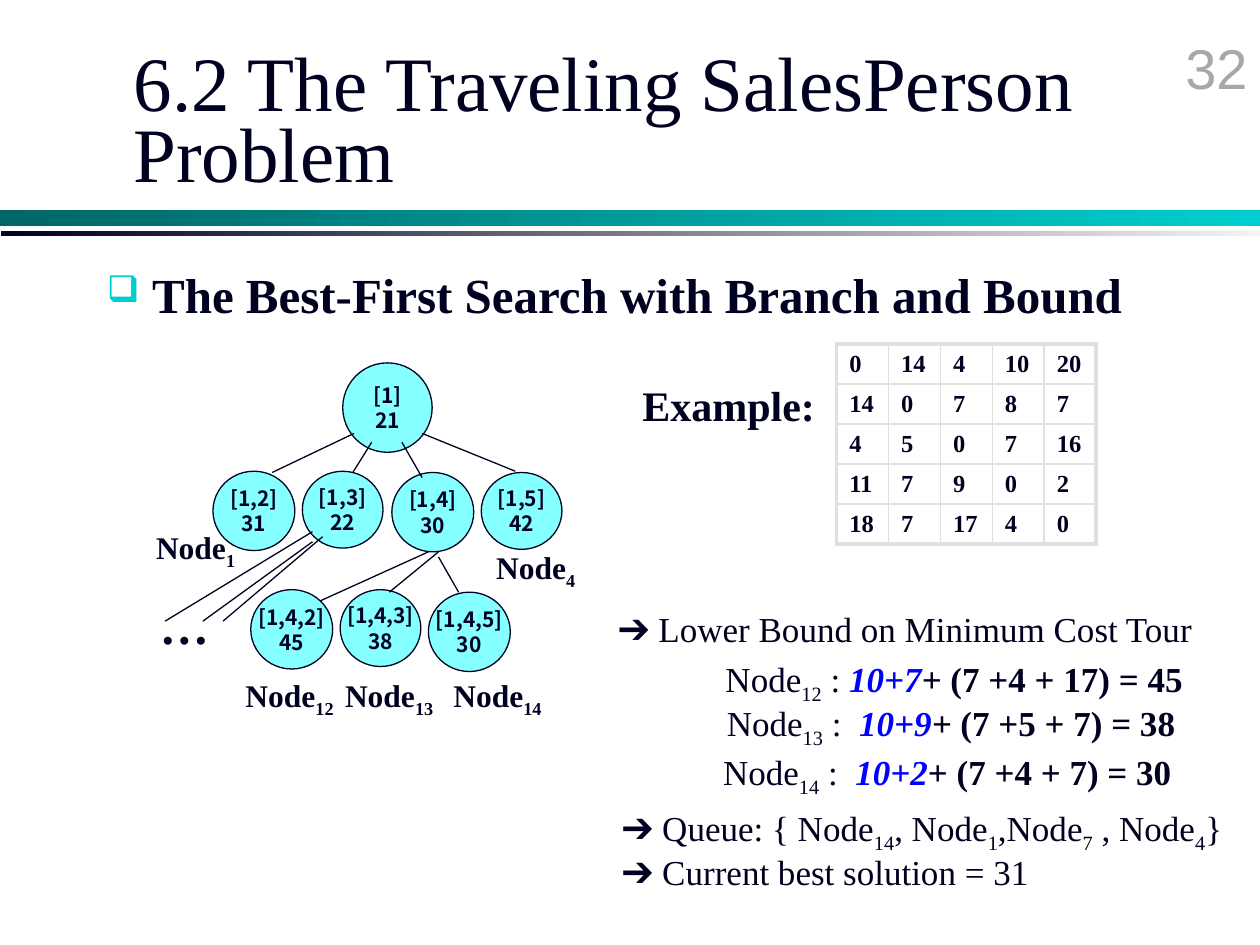
from lxml.etree import SubElement
from pptx import Presentation
from pptx.dml.color import RGBColor
from pptx.enum.shapes import MSO_CONNECTOR, MSO_SHAPE
from pptx.enum.text import MSO_ANCHOR, PP_ALIGN
from pptx.oxml.ns import qn
from pptx.util import Inches, Pt

SERIF, SANS, NODE_FONT = "Times New Roman", "Arial", "Noto Sans CJK KR"
INK, BLUE, CYAN, NODE_FILL = "000020", "0000FF", "00CECE", "85FFFF"
GREY, GRID = "A8A8A8", "E0E0E0"

TITLE = "6.2 The Traveling SalesPerson Problem"
HEADING = "The Best-First Search with Branch and Bound"
BARS = [  # left, top, width, height, gradient colours
    (0, 1.67, 10, 0.12, "006666", CYAN),
    (0.01, 1.83, 9.99, 0.04, INK, "F3F3F3"),
]
COSTS = [
    (0, 14, 4, 10, 20),
    (14, 0, 7, 8, 7),
    (4, 5, 0, 7, 16),
    (11, 7, 9, 0, 2),
    (18, 7, 17, 4, 0),
]
NODES = [  # left, top, width, height, path, bound
    (2.72, 2.88, 0.71, 0.71, "[1]", 21),
    (1.69, 3.74, 0.65, 0.63, "[1,2]", 31),
    (2.4, 3.74, 0.64, 0.61, "[1,3]", 22),
    (3.11, 3.75, 0.65, 0.63, "[1,4]", 30),
    (3.82, 3.75, 0.64, 0.61, "[1,5]", 42),
    (1.99, 4.68, 0.65, 0.63, "[1,4,2]", 45),
    (2.7, 4.68, 0.64, 0.61, "[1,4,3]", 38),
    (3.4, 4.7, 0.65, 0.63, "[1,4,5]", 30),
]
EDGES = [  # x1, y1, x2, y2
    (2.81, 3.44, 2.16, 3.75), (2.95, 3.51, 2.8, 3.75),
    (3.19, 3.51, 3.35, 3.79), (3.35, 3.44, 4.09, 3.74),
    (2.48, 4.22, 1.31, 4.93), (2.48, 4.3, 1.61, 4.93), (2.56, 4.26, 1.77, 4.93),
    (3.4, 4.38, 2.54, 4.77), (3.48, 4.38, 3.09, 4.7), (3.48, 4.42, 3.64, 4.7),
]
NODE_LABELS = [  # left, top, index
    (1.14, 4.14, 1), (3.84, 4.3, 4), (1.85, 5.32, 12), (2.64, 5.32, 13), (3.5, 5.32, 14),
]
BOUNDS = [  # left, top, index, separator, path cost, plus sign, rest
    (5.66, 5.17, 12, " : ", "10+7", "+ ", "(7 +4 + 17) = 45"),
    (5.67, 5.52, 13, " :  ", "10+9", "+", " (7 +5 + 7) = 38"),
    (5.64, 5.91, 14, " :  ", "10+2", "", "+ (7 +4 + 7) = 30"),
]
SUB = {"sub": True}
NOTES = [  # left, top, runs
    (4.81, 4.77, [("➔ Lower Bound on Minimum Cost Tour", {})]),
    (4.84, 6.35, [("➔ Queue: { Node", {}), ("14", SUB), (", Node", {}), ("1", SUB),
                  (",Node", {}), ("7", SUB), (" , Node", {}), ("4", SUB), ("}", {})]),
    (4.84, 6.7, [("➔ Current best solution = 31", {})]),
]


def rgb(color):
    return RGBColor.from_string(color)


def style(font, size, name=SERIF, color=INK, bold=False, italic=False):
    font.size, font.name, font.bold, font.italic = Pt(size), name, bold, italic
    font.color.rgb = rgb(color)


def add_text(s, left, top, width, height, size, runs, **base):
    """Add a text box of one paragraph; each run is (text, style changes)."""
    box = s.shapes.add_textbox(*map(Inches, (left, top, width, height)))
    box.text_frame.word_wrap = True
    p = box.text_frame.paragraphs[0]
    for text, changes in runs:
        look = {**base, **changes}
        subscript = look.pop("sub", False)
        r = p.add_run()
        r.text = text
        style(r.font, size, **look)
        if subscript:
            r.font._element.set("baseline", "-25000")
    return p


def add_bar(s, left, top, width, height, *colors):
    sp = s.shapes.add_shape(MSO_SHAPE.RECTANGLE, *map(Inches, (left, top, width, height)))
    sp.shadow.inherit = False
    sp.line.fill.background()
    sp.fill.gradient()
    sp.fill.gradient_angle = 0
    for stop, color in zip(sp.fill.gradient_stops, colors):
        stop.color.rgb = rgb(color)


def add_edge(s, *ends):
    line = s.shapes.add_connector(MSO_CONNECTOR.STRAIGHT, *map(Inches, ends))
    line.line.color.rgb, line.line.width = rgb(INK), Pt(0.75)
    SubElement(line._element.spPr, qn("a:effectLst"))


def add_node(s, left, top, width, height, route, bound):
    sp = s.shapes.add_shape(MSO_SHAPE.OVAL, *map(Inches, (left, top, width, height)))
    sp.shadow.inherit = False
    sp.fill.solid()
    sp.fill.fore_color.rgb = rgb(NODE_FILL)
    sp.line.color.rgb, sp.line.width = rgb(INK), Pt(0.75)
    tf = sp.text_frame
    tf.word_wrap, tf.vertical_anchor = False, MSO_ANCHOR.MIDDLE
    tf.text = f"{route}\n{bound}"
    for p in tf.paragraphs:
        p.alignment = PP_ALIGN.CENTER
        for r in p.runs:
            style(r.font, 12, NODE_FONT, bold=True)


def set_borders(cell, widths):
    tc_pr = cell._tc.get_or_add_tcPr()
    for side, width in widths.items():
        ln = SubElement(tc_pr, qn(f"a:ln{side}"), w=str(Pt(width)))
        SubElement(SubElement(ln, qn("a:solidFill")), qn("a:srgbClr"), val=GRID)


def add_cost_table(s, left, top, width, height):
    n = len(COSTS)
    table = s.shapes.add_table(n, n, *map(Inches, (left, top, width, height))).table
    table.first_row = table.horz_banding = False
    for i, costs in enumerate(COSTS):
        table.rows[i].height = Inches(height / n)
        table.columns[i].width = Inches(width / n)
        for j, cost in enumerate(costs):
            cell = table.cell(i, j)
            outer = {"L": j == 0, "R": j == n - 1, "T": i == 0, "B": i == n - 1}
            set_borders(cell, {side: 2.25 if edge else 1 for side, edge in outer.items()})
            cell.fill.background()
            cell.vertical_anchor = MSO_ANCHOR.MIDDLE
            cell.margin_top = cell.margin_bottom = Inches(0.04)
            cell.text = str(cost)
            style(cell.text_frame.paragraphs[0].runs[0].font, 14, bold=True)


def add_heading(s):
    p = add_text(s, 0.75, 2.05, 9.25, 0.58, 28, [(HEADING, {})], bold=True)
    p_pr = p._p.get_or_add_pPr()
    p_pr.set("marL", str(Inches(0.36)))
    p_pr.set("indent", str(-Inches(0.36)))
    SubElement(SubElement(p_pr, qn("a:buClr")), qn("a:srgbClr"), val=CYAN)
    SubElement(p_pr, qn("a:buSzPct"), val="75000")
    SubElement(p_pr, qn("a:buChar"), char="❑")


def set_title(title):
    title.left, title.top, title.width, title.height = map(Inches, (0.96, 0.38, 8.52, 1.25))
    tf = title.text_frame
    tf.text = TITLE
    tf.word_wrap, tf.vertical_anchor = True, MSO_ANCHOR.MIDDLE
    p = tf.paragraphs[0]
    p.alignment, p.line_spacing = PP_ALIGN.LEFT, Pt(41)
    style(p.runs[0].font, 44)


def main():
    prs = Presentation()
    prs.slide_width, prs.slide_height = Inches(10), Inches(7.5)
    s = prs.slides.add_slide(prs.slide_layouts[5])
    set_title(s.shapes.title)
    for bar in BARS:
        add_bar(s, *bar)
    number = add_text(s, 7.92, 0.22, 2.08, 0.5, 32, [("32", {})], name=SANS, color=GREY)
    number.alignment = PP_ALIGN.RIGHT
    add_heading(s)

    add_text(s, 5, 2.96, 1.6, 0.5, 24, [("Example:", {})], bold=True)
    add_cost_table(s, 6.64, 2.73, 2.06, 1.59)

    for node in NODES:
        add_node(s, *node)
    for edge in EDGES:
        add_edge(s, *edge)
    for left, top, index in NODE_LABELS:
        add_text(s, left, top, 1, 0.4, 18, [("Node", {}), (str(index), SUB)], bold=True)
    add_text(s, 1.17, 4.68, 1.08, 0.57, 28, [("…", {})], bold=True)

    strong = {"bold": True}
    slanted = {"bold": True, "italic": True}
    for left, top, index, separator, cost, plus, rest in BOUNDS:
        runs = [("Node", {}), (str(index), SUB), (separator, {}),
                (cost, {**slanted, "color": BLUE}), (plus, slanted), (rest, strong)]
        add_text(s, left, top, 4, 0.44, 20, [run for run in runs if run[0]])
    for left, top, runs in NOTES:
        add_text(s, left, top, 5.1, 0.43, 20, runs)
    prs.save("out.pptx")


if __name__ == "__main__":
    main()
